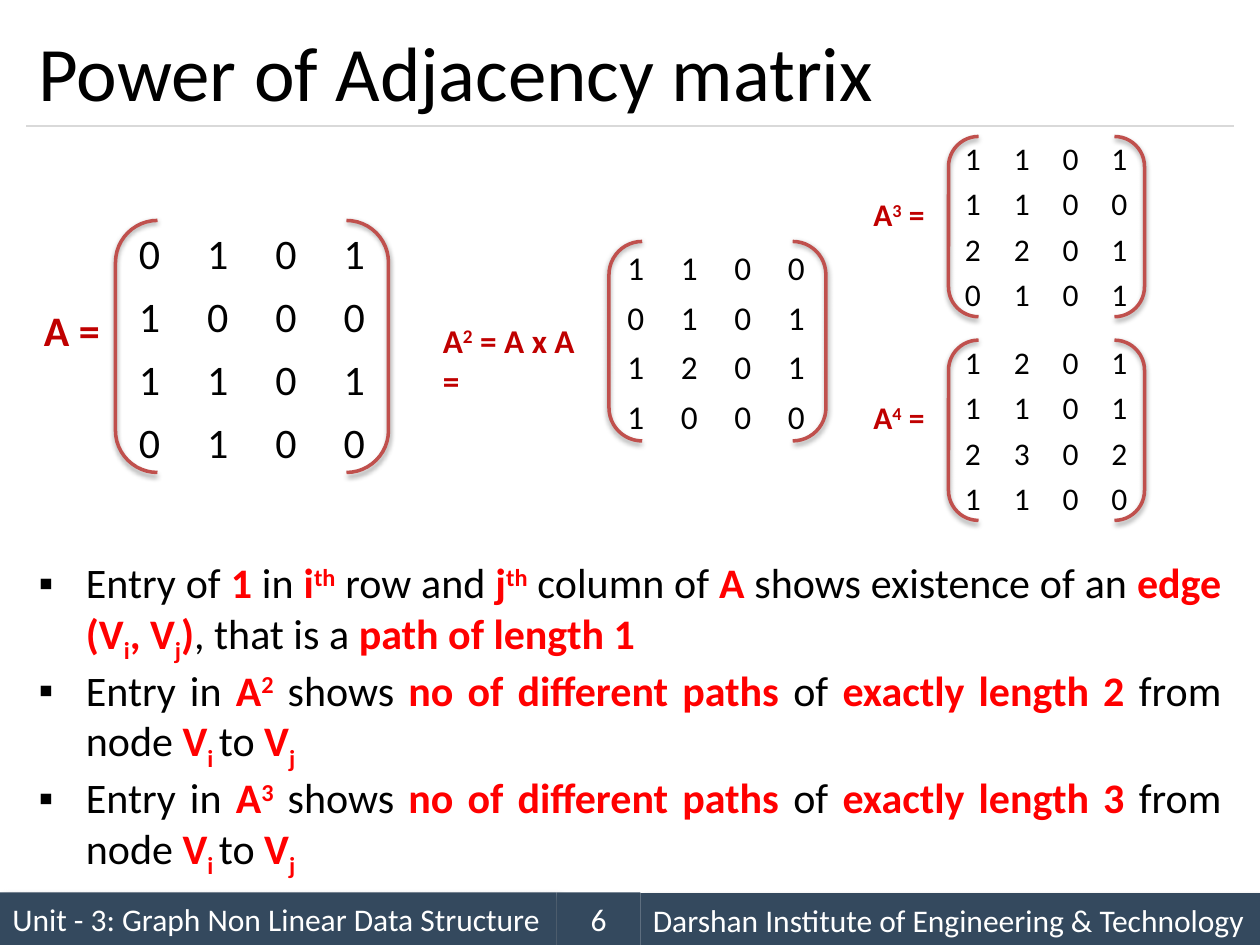
from lxml import etree
from pptx import Presentation
from pptx.dml.color import RGBColor
from pptx.enum.shapes import MSO_CONNECTOR as CONNECTOR, MSO_SHAPE as SHAPE
from pptx.enum.text import MSO_ANCHOR as ANCHOR, PP_ALIGN as ALIGN
from pptx.oxml.ns import qn
from pptx.util import Pt

BLACK = RGBColor(0x00, 0x00, 0x00)
WHITE = RGBColor(0xFF, 0xFF, 0xFF)
RED = RGBColor(0xFF, 0x00, 0x00)
DARK_RED = RGBColor(0xC0, 0x00, 0x00)
BRACKET_RED = RGBColor(0xC0, 0x50, 0x4D)
SLATE = RGBColor(0x34, 0x49, 0x5E)
RULE_GREY = RGBColor(0xD9, 0xD9, 0xD9)
BASELINES = {"^": "30000", "_": "-25000"}


def add_rich_text(paragraph, markup, size, strong_color):
    """Add runs: *strong*, and |^raised| or |_lowered| pieces."""
    for number, part in enumerate(markup.split("*")):
        strong = number % 2 == 1
        for piece in filter(None, part.split("|")):
            run = paragraph.add_run()
            run.text = piece.lstrip("^_")
            run.font.name = "Calibri"
            run.font.size = Pt(size)
            run.font.bold = strong
            run.font.color.rgb = strong_color if strong else BLACK
            if piece[0] in BASELINES:
                run.font._element.set("baseline", BASELINES[piece[0]])


def add_shadow(shape, blur, distance, degrees, opacity):
    shape.shadow.inherit = False
    effects = shape._element.spPr.find(qn("a:effectLst"))
    outer = etree.SubElement(
        effects, qn("a:outerShdw"), blurRad=str(Pt(blur)), dist=str(Pt(distance)),
        dir=str(degrees * 60000), algn="t", rotWithShape="0")
    color = etree.SubElement(outer, qn("a:srgbClr"), val="000000")
    etree.SubElement(color, qn("a:alpha"), val=str(opacity * 1000))


deck = Presentation()
deck.slide_width, deck.slide_height = Pt(720), Pt(540)
slide = deck.slides.add_slide(deck.slide_layouts[6])
shapes = slide.shapes

# Footer: text, left, top, width, alignment, shadowed
footer = [
    ("Unit - 3: Graph Non Linear Data Structure", 0, 510, 318, ALIGN.LEFT, True),
    ("Darshan Institute of Engineering & Technology", 366, 510.4, 354, ALIGN.LEFT, True),
    ("6", 318, 510, 48, ALIGN.CENTER, False),
]
for text, left, top, width, alignment, shadowed in footer:
    bar = shapes.add_shape(SHAPE.RECTANGLE, Pt(left), Pt(top), Pt(width), Pt(30))
    bar.fill.solid()
    bar.fill.fore_color.rgb = SLATE
    bar.line.fill.background()
    bar.shadow.inherit = False
    if shadowed:
        add_shadow(bar, 4, 3, 45, 40)
    bar.text_frame.text = text
    bar.text_frame.vertical_anchor = ANCHOR.MIDDLE
    paragraph = bar.text_frame.paragraphs[0]
    paragraph.alignment = alignment
    font = paragraph.runs[0].font
    font.name, font.size, font.color.rgb = "Calibri", Pt(18), WHITE

# Title and rule
title_rule = shapes.add_connector(CONNECTOR.STRAIGHT, Pt(15), Pt(72), Pt(705), Pt(72))
title_rule.line.color.rgb = RULE_GREY
title_rule.line.width = Pt(0.75)
etree.SubElement(title_rule._element.spPr, qn("a:effectLst"))

title = shapes.add_textbox(Pt(15), Pt(9), Pt(690), Pt(63)).text_frame
title.word_wrap = True
title.vertical_anchor = ANCHOR.MIDDLE
add_rich_text(title.paragraphs[0], "Power of Adjacency matrix", 44, BLACK)

# Explanation
explanation = [
    "Entry of *1* in *i|^th|* row and *j|^th|* column of *A* shows existence of an "
    "*edge (V|_i|, V|_j|)*, that is a *path of length 1*",
]
for power in (2, 3):
    explanation.append(
        f"Entry in *A|^{power}|* shows *no of different paths* of "
        f"*exactly length {power}* from node *V|_i |*to *V|_j|*")

body = shapes.add_textbox(Pt(15), Pt(318), Pt(690), Pt(180)).text_frame
body.word_wrap = True
for number, markup in enumerate(explanation):
    paragraph = body.add_paragraph() if number else body.paragraphs[0]
    paragraph.alignment = ALIGN.JUSTIFY
    paragraph.line_spacing = 0.9
    paragraph.space_before = Pt(6 if number else 0)
    properties = paragraph._element.get_or_add_pPr()
    properties.set("marL", str(Pt(27)))
    properties.set("indent", str(Pt(-27)))
    etree.SubElement(properties, qn("a:buFont"), typeface="Arial")
    etree.SubElement(properties, qn("a:buChar"), char="▪")
    add_rich_text(paragraph, markup, 24, RED)

# Matrices: label, label left and top, rows, table left and top, column width,
# row height, side and top margin, text size, bracket top, width and height
matrices = [
    ("*A =*", 18, 170.6, ["0101", "1000", "1101", "0100"],
     66, 127.5, 39, 33.8, 7, 3.6, 24, 126, 156, 144),
    ("*A|^2| = A x A =*", 246, 179.5, ["1100", "0101", "1201", "1000"],
     348, 139.5, 30.6, 28, 5, 2.8, 19, 138, 124, 114),
    ("*A|^3| =*", 492, 108, ["1101", "1100", "2201", "0101"],
     542, 78, 27.9, 25.2, 5, 2.2, 18, 78, 112, 103),
    ("*A|^4| =*", 492, 224, ["1201", "1101", "2302", "1100"],
     542, 194.4, 27.9, 25.2, 5, 2.2, 18, 194.4, 112, 103),
]
for (label, label_left, label_top, rows, left, top, column_width, row_height,
     side, margin, size, bracket_top, bracket_width, bracket_height) in matrices:
    matrix = shapes.add_table(4, 4, Pt(left), Pt(top),
                              Pt(4 * column_width), Pt(4 * row_height)).table
    matrix.first_row = matrix.horz_banding = False
    for column in matrix.columns:
        column.width = Pt(column_width)
    for row, digits in zip(matrix.rows, rows):
        row.height = Pt(row_height)
        for cell, digit in zip(row.cells, digits):
            cell.fill.background()
            cell.margin_left = cell.margin_right = Pt(side)
            cell.margin_top = cell.margin_bottom = Pt(margin)
            cell.vertical_anchor = ANCHOR.MIDDLE
            entry = cell.text_frame.paragraphs[0]
            entry.alignment = ALIGN.CENTER
            add_rich_text(entry, digit, size, BLACK)

    bracket = shapes.add_shape(SHAPE.DOUBLE_BRACKET, Pt(left), Pt(bracket_top),
                               Pt(bracket_width), Pt(bracket_height))
    bracket.fill.background()
    bracket.line.color.rgb = BRACKET_RED
    bracket.line.width = Pt(2)
    add_shadow(bracket, 3.1, 1.6, 90, 38)

    caption = shapes.add_textbox(Pt(label_left), Pt(label_top),
                                 Pt(left - label_left), Pt(size * 1.5)).text_frame
    caption.word_wrap = True
    add_rich_text(caption.paragraphs[0], label, size, DARK_RED)

deck.save("out.pptx")
